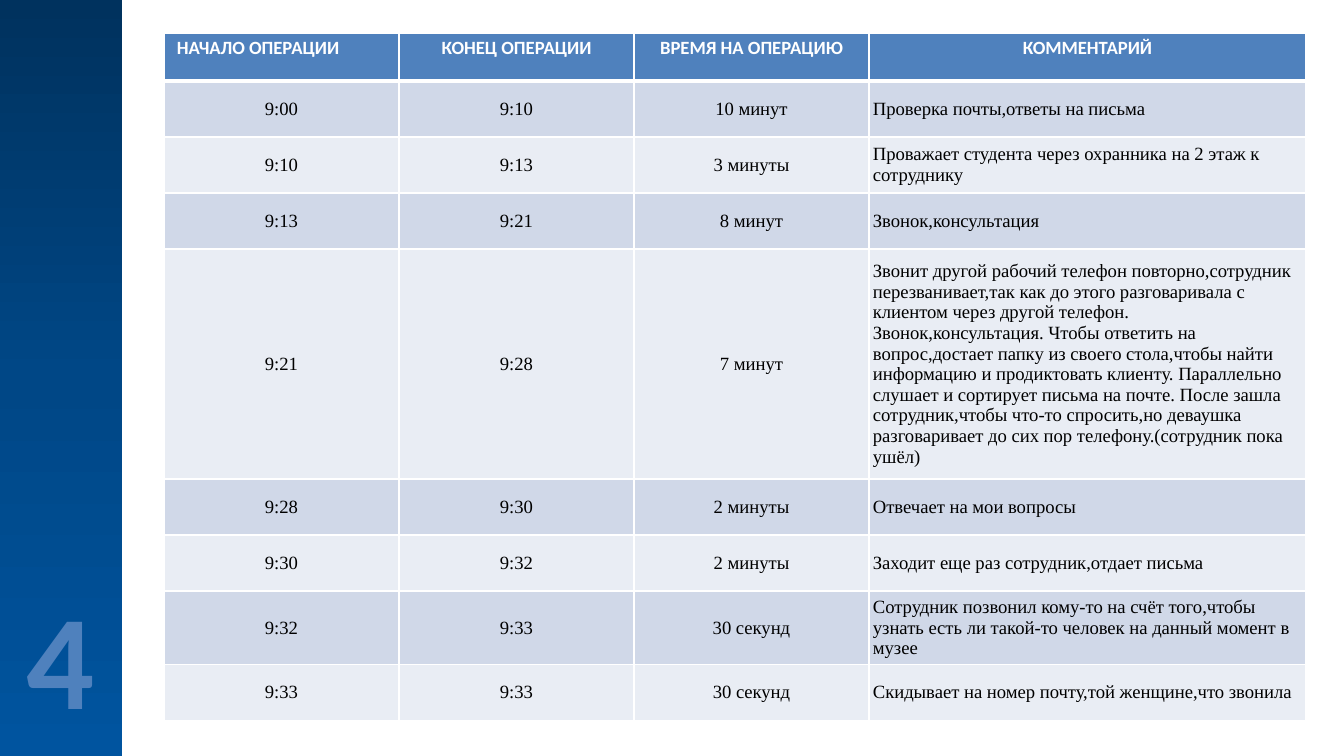
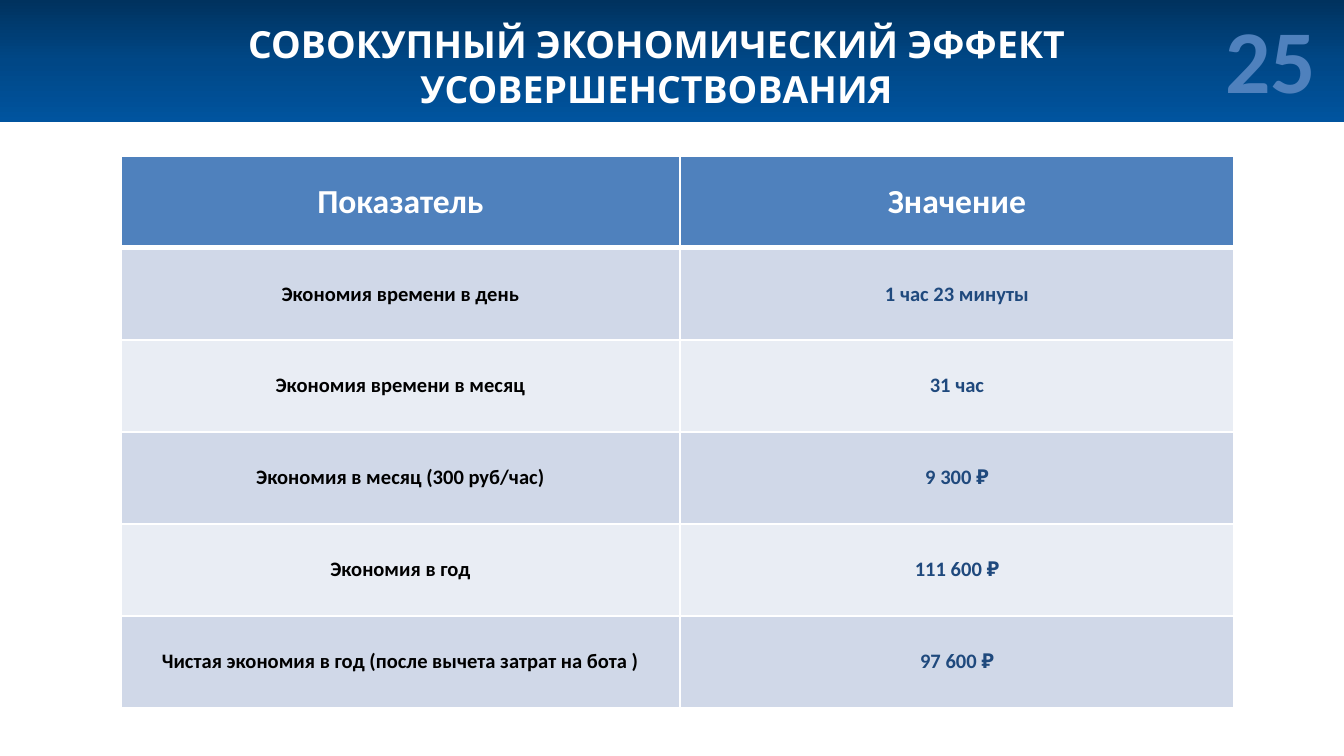
from pptx import Presentation
from pptx import util as u
from pptx.dml.color import RGBColor
from pptx.enum import shapes, text
from pptx.oxml import parse_xml
from pptx.oxml.ns import nsdecls

PX = 914400 / 134.4  # EMU in one px
SLIDE_W, SLIDE_H = 1344, 756
BAND = 122  # thickness of the side and top bands

WHITE, BLACK = "FFFFFF", "000000"
ACCENT, NAVY = "4F81BD", "1F497D"
BAND_STOPS = [(0, "00325E"), (50, "004786"), (100, "00549F")]
ROW_FILLS = ["D0D8E8", "E9EDF4"]

CENTER, LEFT = text.PP_ALIGN.CENTER, text.PP_ALIGN.LEFT
MIDDLE, TOP = text.MSO_ANCHOR.MIDDLE, text.MSO_ANCHOR.TOP

OPERATIONS_HEADER = ["НАЧАЛО ОПЕРАЦИИ", "КОНЕЦ ОПЕРАЦИИ", "ВРЕМЯ НА ОПЕРАЦИЮ", "КОММЕНТАРИЙ"]
OPERATIONS = [
    ("9:00", "9:10", "10 минут", "Проверка почты,ответы на письма"),
    ("9:10", "9:13", "3 минуты", "Проважает студента через охранника на 2 этаж к сотруднику"),
    ("9:13", "9:21", "8 минут", "Звонок,консультация"),
    ("9:21", "9:28", "7 минут",
     "Звонит другой рабочий телефон повторно,сотрудник перезванивает,так как до этого "
     "разговаривала с клиентом через другой телефон.\n"
     "Звонок,консультация. Чтобы ответить на вопрос,достает папку из своего стола,чтобы "
     "найти информацию и продиктовать клиенту. Параллельно слушает и сортирует письма на "
     "почте. После зашла сотрудник,чтобы что-то спросить,но деваушка разговаривает до сих "
     "пор телефону.(сотрудник пока ушёл)"),
    ("9:28", "9:30", "2 минуты", "Отвечает на мои вопросы"),
    ("9:30", "9:32", "2 минуты", "Заходит еще раз сотрудник,отдает письма"),
    ("9:32", "9:33", "30 секунд",
     "Cотрудник позвонил кому-то на счёт того,чтобы узнать есть ли такой-то человек на "
     "данный момент в музее"),
    ("9:33", "9:33", "30 cекунд", "Скидывает на номер почту,той женщине,что звонила"),
]

EFFECT_HEADER = ["Показатель", "Значение"]
EFFECTS = [
    ("Экономия времени в день", "1 час 23 минуты"),
    ("Экономия времени в месяц", "31 час"),
    ("Экономия в месяц (300 руб/час)", "9 300 ₽"),
    ("Экономия в год", "111 600 ₽"),
    ("Чистая экономия в год (после вычета затрат на бота )", "97 600 ₽"),
]


def px(length):
    return u.Emu(round(length * PX))


def color(value):
    return RGBColor.from_string(value)


def style_paragraphs(frame, size, font, ink, bold, align=CENTER, spacing=None):
    for paragraph in frame.paragraphs:
        paragraph.alignment = align
        if spacing:
            paragraph.line_spacing = spacing
        paragraph.font.size = u.Pt(size)
        paragraph.font.name = font
        paragraph.font.bold = bold
        paragraph.font.color.rgb = color(ink)


# Shared parts
def add_band(slide, box):
    band = slide.shapes.add_shape(shapes.MSO_SHAPE.RECTANGLE, *map(px, box))
    band.shadow.inherit = False
    band.line.fill.background()
    stops = "".join(f'<a:gs pos="{position * 1000}"><a:srgbClr val="{value}"/></a:gs>'
                    for position, value in BAND_STOPS)
    gradient = parse_xml(f'<a:gradFill {nsdecls("a")} rotWithShape="1"><a:gsLst>{stops}</a:gsLst>'
                         '<a:lin ang="5400000" scaled="0"/></a:gradFill>')
    band.element.spPr.find("{*}prstGeom").addnext(gradient)


def add_number(slide, box, number, size):
    """Slide number drawn as outlined digits."""
    frame = slide.shapes.add_textbox(*map(px, box)).text_frame
    frame.word_wrap = False
    frame.auto_size = text.MSO_AUTO_SIZE.SHAPE_TO_FIT_TEXT
    paragraph = frame.paragraphs[0]
    paragraph.alignment = CENTER
    run = paragraph.add_run()
    run.text = number
    run.font.size = u.Pt(size)
    run.font.name = "Calibri"
    run.font.bold = True
    properties = run.font._element
    properties.insert(0, parse_xml(
        f'<a:ln {nsdecls("a")} w="{u.Pt(1.25)}"><a:solidFill><a:srgbClr val="{ACCENT}"/>'
        '</a:solidFill></a:ln>'))
    properties.insert(1, parse_xml(f'<a:noFill {nsdecls("a")}/>'))


def add_title(slide, box, title):
    frame = slide.shapes.add_textbox(*map(px, box)).text_frame
    frame.word_wrap = True
    frame.auto_size = text.MSO_AUTO_SIZE.SHAPE_TO_FIT_TEXT
    frame.text = title
    style_paragraphs(frame, 20, "Karla", WHITE, True)


def set_borders(cell, is_header):
    widths = {"lnL": 1, "lnR": 1, "lnT": 1, "lnB": 3 if is_header else 1}
    properties = cell._tc.get_or_add_tcPr()
    for position, (tag, width) in enumerate(widths.items()):
        properties.insert(position, parse_xml(
            f'<a:{tag} {nsdecls("a")} w="{u.Pt(width)}"><a:solidFill>'
            f'<a:srgbClr val="{WHITE}"/></a:solidFill></a:{tag}>'))


def add_grid(slide, left, top, widths, heights, rows, style_cell):
    """Banded table; style_cell sets the text of each cell."""
    box = (left, top, sum(widths), sum(heights))
    table = slide.shapes.add_table(len(rows), len(widths), *map(px, box)).table
    table.horz_banding = False
    for column, width in zip(table.columns, widths):
        column.width = px(width)
    for row_index, (row, height) in enumerate(zip(rows, heights)):
        table.rows[row_index].height = px(height)
        for column_index, value in enumerate(row):
            cell = table.cell(row_index, column_index)
            cell.text = value
            cell.fill.solid()
            fill = ROW_FILLS[(row_index - 1) % 2] if row_index else ACCENT
            cell.fill.fore_color.rgb = color(fill)
            set_borders(cell, row_index == 0)
            style_cell(cell, row_index, column_index)


def set_cell_box(cell, anchor, side, end):
    cell.vertical_anchor = anchor
    cell.margin_left = cell.margin_right = px(side)
    cell.margin_top = cell.margin_bottom = px(end)


# Cell styles
def style_operation(cell, row, column):
    if row == 0:
        set_cell_box(cell, TOP, 13, 7)
        align = LEFT if column == 0 else CENTER
        style_paragraphs(cell.text_frame, 10, "Calibri", WHITE, True, align, 0.8)
    else:
        set_cell_box(cell, MIDDLE, 4, 3)
        align = LEFT if column == 3 else CENTER
        style_paragraphs(cell.text_frame, 10, "Times New Roman", BLACK, False, align)


def style_effect(cell, row, column):
    set_cell_box(cell, MIDDLE, 0, 0)
    size, ink = (11, [BLACK, NAVY][column]) if row else (18, WHITE)
    style_paragraphs(cell.text_frame, size, "Calibri", ink, True)


# Slides
def build_operations(slide):
    add_band(slide, (0, 0, BAND, SLIDE_H))
    add_number(slide, (13, 569, 96, 176), "4", 72)
    heights = [48, 56, 56, 56, 229, 56, 56, 72, 56]
    add_grid(slide, 164, 33, [235] * 3 + [437], heights,
             [OPERATIONS_HEADER] + OPERATIONS, style_operation)


def build_effect(slide):
    add_band(slide, (0, 0, SLIDE_W, BAND))
    add_title(slide, (117, 15, 1079, 103), "СОВОКУПНЫЙ ЭКОНОМИЧЕСКИЙ ЭФФЕКТ\nУСОВЕРШЕНСТВОВАНИЯ")
    add_number(slide, (1212, -3, 118, 122), "25", 48)
    rows = [EFFECT_HEADER] + EFFECTS
    add_grid(slide, 121, 156, [559, 554], [92] * len(rows), rows, style_effect)


def main():
    presentation = Presentation()
    presentation.slide_width, presentation.slide_height = px(SLIDE_W), px(SLIDE_H)
    for build in (build_operations, build_effect):
        build(presentation.slides.add_slide(presentation.slide_layouts[6]))
    presentation.save("out.pptx")


if __name__ == "__main__":
    main()
